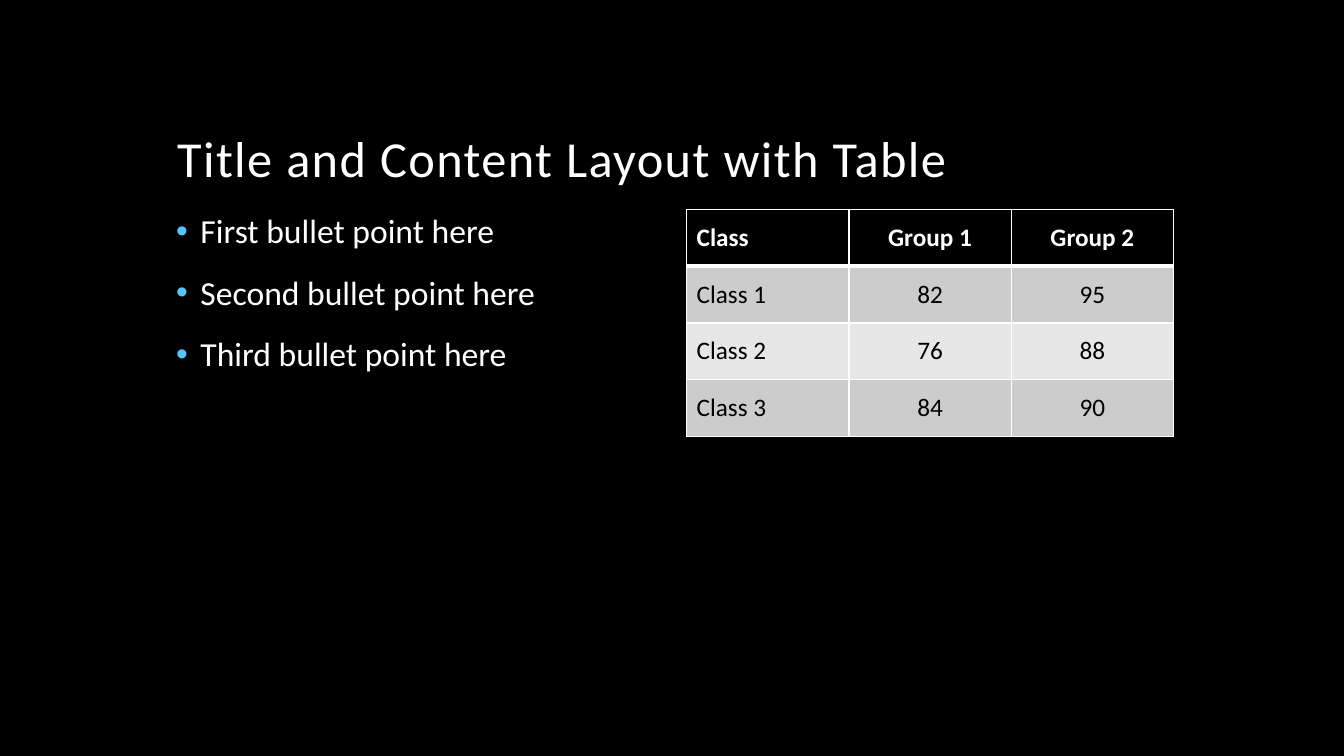
"""Build a slide with a title, a bullet list and a table of class results."""
from lxml import etree
from pptx import Presentation
from pptx import util as u
from pptx.dml.color import RGBColor
from pptx.enum import text
from pptx.oxml.ns import qn

COLORS = {
    "black": "000000",
    "white": "FFFFFF",
    "accent": "56C5FF",
    "band_dark": "CCCCCC",
    "band_light": "E7E7E7",
}


def rgb(name):
    return RGBColor.from_string(COLORS[name])


def write(p, content, size=18, color="white", bold=False, font="Calibri",
          align=text.PP_ALIGN.LEFT, tracking=0, line=None, before=None):
    p.alignment = align
    p.line_spacing = line
    if before is not None:
        p.space_before = u.Pt(before)
    r = p.add_run()
    r.text = content
    r.font.name = font
    r.font.size = u.Pt(size)
    r.font.bold = bold
    r.font.color.rgb = rgb(color)
    if tracking:
        r._r.get_or_add_rPr().set("spc", str(tracking * 100))


class SlideBuilder:
    def __init__(self, prs, background):
        self.s = prs.slides.add_slide(prs.slide_layouts[6])
        fill = self.s.background.fill
        fill.solid()
        fill.fore_color.rgb = rgb(background)

    def text_box(self, left, top, width, height, lines, anchor, bullet=None, **style):
        sp = self.s.shapes.add_textbox(*map(u.Inches, (left, top, width, height)))
        tf = sp.text_frame
        tf.word_wrap = True
        tf.vertical_anchor = anchor
        for i, line in enumerate(lines):
            p = tf.add_paragraph() if i else tf.paragraphs[0]
            write(p, line, **style)
            if bullet:
                self.bullet(p, bullet)

    def bullet(self, p, color, char="•", indent=0.24):
        pPr = p._p.get_or_add_pPr()
        pPr.set("marL", str(u.Inches(indent)))
        pPr.set("indent", str(-u.Inches(indent)))
        clr = etree.SubElement(pPr, qn("a:buClr"))
        etree.SubElement(clr, qn("a:srgbClr"), val=COLORS[color])
        etree.SubElement(pPr, qn("a:buFont"), typeface="Arial")
        etree.SubElement(pPr, qn("a:buChar"), char=char)

    def borders(self, cell, color, **widths):
        tcPr = cell._tc.get_or_add_tcPr()
        for side, width in widths.items():
            ln = etree.SubElement(tcPr, qn(f"a:ln{side}"), w=str(u.Pt(width)))
            fill = etree.SubElement(ln, qn("a:solidFill"))
            etree.SubElement(fill, qn("a:srgbClr"), val=COLORS[color])

    def table(self, left, top, width, height, rows):
        frame = self.s.shapes.add_table(
            len(rows), len(rows[0]), *map(u.Inches, (left, top, width, height)))
        for i, row in enumerate(rows):
            header = i == 0
            fill = "black" if header else "band_dark" if i % 2 else "band_light"
            for j, value in enumerate(row):
                cell = frame.table.cell(i, j)
                cell.vertical_anchor = text.MSO_ANCHOR.MIDDLE
                self.borders(cell, "white", L=1, R=1,
                             T=3 if i == 1 else 1, B=3 if header else 1)
                cell.fill.solid()
                cell.fill.fore_color.rgb = rgb(fill)
                write(cell.text_frame.paragraphs[0], value, bold=header,
                      color="white" if header else "black",
                      align=text.PP_ALIGN.CENTER if j else text.PP_ALIGN.LEFT)


def main():
    prs = Presentation()
    prs.slide_width, prs.slide_height = u.Inches(13.33), u.Inches(7.5)
    slide = SlideBuilder(prs, "black")
    slide.text_box(1.66, 0.42, 10, 1.5, ["Title and Content Layout with Table"],
                   text.MSO_ANCHOR.BOTTOM, size=36, tracking=1, line=0.9)
    bullets = [f"{rank} bullet point here" for rank in ("First", "Second", "Third")]
    slide.text_box(1.65, 2.08, 4.83, 4.5, bullets, text.MSO_ANCHOR.TOP,
                   bullet="accent", size=24, line=0.9, before=18)
    slide.table(6.81, 2.08, 4.83, 2.25, [
        ("Class", "Group 1", "Group 2"),
        ("Class 1", "82", "95"),
        ("Class 2", "76", "88"),
        ("Class 3", "84", "90"),
    ])
    prs.save("out.pptx")


if __name__ == "__main__":
    main()
